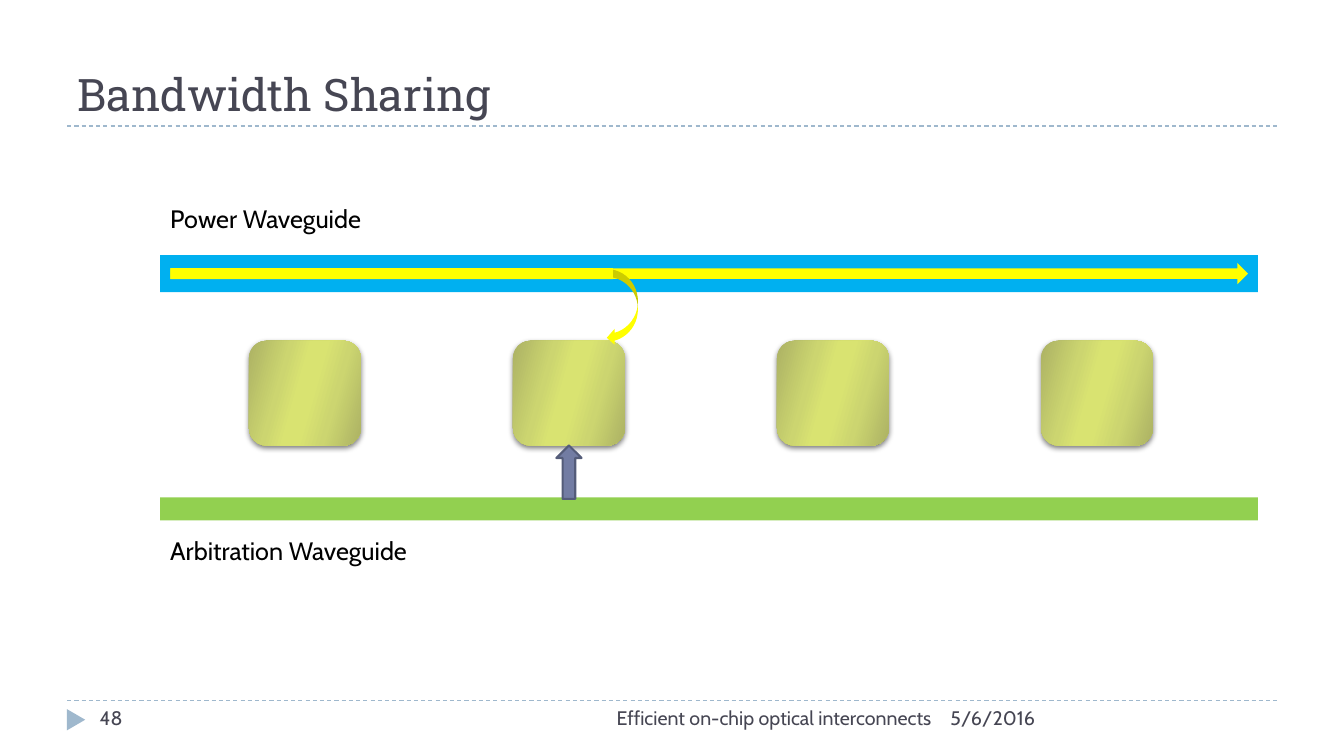
import pptx
import pptx.util
import pptx.dml.color
import pptx.enum.dml
import pptx.enum.shapes
import pptx.enum.text
import pptx.oxml
import pptx.oxml.ns

Pt = pptx.util.Pt
Color = pptx.dml.color.RGBColor
Shape = pptx.enum.shapes.MSO_SHAPE
Align = pptx.enum.text.PP_ALIGN
Anchor = pptx.enum.text.MSO_ANCHOR

SLATE = Color(0x46, 0x46, 0x53)
PALE_BLUE = Color(0x9F, 0xB8, 0xCD)
BLACK = Color(0x00, 0x00, 0x00)
CYAN = Color(0x00, 0xB0, 0xF0)
GREEN = Color(0x92, 0xD0, 0x50)
YELLOW = Color(0xFF, 0xFF, 0x00)
INDIGO = Color(0x72, 0x7C, 0xA3)
INDIGO_EDGE = Color(0x54, 0x5C, 0x79)
OLIVE = Color(0xAC, 0xB2, 0x64)
LIME = Color(0xCC, 0xD5, 0x70)
BRIGHT_LIME = Color(0xD9, 0xE3, 0x71)

# Content: text, (left, top, width, height), size, colour, alignment
TITLE = "Bandwidth Sharing"
LABELS = [
    ("Efficient on-chip optical interconnects", (304.6, 500.4, 367.9, 28.8), 14, SLATE, Align.RIGHT),
    ("48", (64.1, 500.4, 208, 28.8), 14, SLATE, Align.LEFT),
    ("5/6/2016", (671.8, 500.4, 240.5, 28.8), 14, SLATE, Align.LEFT),
    ("Power Waveguide", (114.5, 141.8, 214.6, 28.8), 18, BLACK, Align.LEFT),
    ("Arbitration Waveguide", (114.5, 378.7, 214.6, 28.8), 18, BLACK, Align.LEFT),
]
MARGIN, RULE_WIDTH = 48, 864
RULE_TOPS = (500.4, 90)
WAVEGUIDES = [(Shape.RECTANGLE, (114.5, 182.2, 784, 26.6), CYAN),
              (Shape.RECTANGLE, (114.5, 355.2, 784, 16.5), GREEN)]
LIGHT_FLOW = [(Shape.RIGHT_ARROW, (121.7, 187.9, 769.7, 15.1), YELLOW),
              (Shape.UP_ARROW, (397.4, 318.2, 18, 38.2), INDIGO),
              (Shape.CURVED_LEFT_ARROW, (433.4, 192.2, 22.3, 54.7), YELLOW),
              (Shape.RECTANGLE, (121.7, 191.5, 316.1, 7.9), YELLOW)]
CORE_COUNT, CORE_LEFT, CORE_STEP = 4, 177.8, 188.6
CORE_TOP, CORE_WIDTH, CORE_HEIGHT = 243.4, 79.9, 74.9
CORE_GRADIENT = [(0, OLIVE), (30, LIME), (45, BRIGHT_LIME),
                 (55, BRIGHT_LIME), (73, LIME), (100, OLIVE)]
GRADIENT_ANGLE = 16

NAMESPACE = pptx.oxml.ns.nsdecls("a")


def points(place):
    return [Pt(length) for length in place]


def write(box, text, size, font, color, align):
    para = box.text_frame.paragraphs[0]
    para.alignment = align
    span = para.add_run()
    span.text = text
    span.font.size = Pt(size)
    span.font.name = font
    span.font.color.rgb = color


def add_solid(page, kind, place, color):
    shape = page.shapes.add_shape(kind, *points(place))
    shape.shadow.inherit = False
    shape.fill.solid()
    shape.fill.fore_color.rgb = color
    shape.line.fill.background()
    return shape


def add_rule(page, top):
    rule = page.shapes.add_connector(
        pptx.enum.shapes.MSO_CONNECTOR.STRAIGHT,
        *points((MARGIN, top, MARGIN + RULE_WIDTH, top)))
    rule.line.color.rgb = PALE_BLUE
    rule.line.width = Pt(0.75)
    rule.line.dash_style = pptx.enum.dml.MSO_LINE.DASH
    rule._element.spPr.append(pptx.oxml.parse_xml(f"<a:effectLst {NAMESPACE}/>"))


def add_core(page, left):
    core = add_solid(page, Shape.ROUNDED_RECTANGLE,
                     (left, CORE_TOP, CORE_WIDTH, CORE_HEIGHT), LIME)
    properties = core._element.spPr
    stops = "".join(f'<a:gs pos="{position * 1000}"><a:srgbClr val="{color}"/></a:gs>'
                    for position, color in CORE_GRADIENT)
    gradient = pptx.oxml.parse_xml(
        f'<a:gradFill {NAMESPACE} rotWithShape="1"><a:gsLst>{stops}</a:gsLst>'
        f'<a:lin ang="{GRADIENT_ANGLE * 60000}" scaled="0"/></a:gradFill>')
    properties.replace(properties.find(pptx.oxml.ns.qn("a:solidFill")), gradient)
    shadow = pptx.oxml.parse_xml(
        f'<a:outerShdw {NAMESPACE} blurRad="{Pt(4)}" dist="{Pt(2)}" dir="5400000" '
        'rotWithShape="0"><a:srgbClr val="000000"><a:alpha val="50000"/>'
        '</a:srgbClr></a:outerShdw>')
    properties.find(pptx.oxml.ns.qn("a:effectLst")).append(shadow)


def main():
    deck = pptx.Presentation()
    deck.slide_width, deck.slide_height = Pt(960), Pt(540)
    page = deck.slides.add_slide(deck.slide_layouts[5])

    # Rules and page marker
    for top in RULE_TOPS:
        add_rule(page, top)
    marker = add_solid(page, Shape.ISOSCELES_TRIANGLE, (46.8, 507.6, 15.1, 13), PALE_BLUE)
    marker.rotation = 90

    # Title
    title = page.shapes.title
    title.left, title.top, title.width, title.height = points((MARGIN, 18, RULE_WIDTH, 72))
    title.text_frame.auto_size = pptx.enum.text.MSO_AUTO_SIZE.NONE
    title.text_frame.vertical_anchor = Anchor.BOTTOM
    write(title, TITLE, 32, "Roboto Slab", SLATE, Align.LEFT)

    # Waveguides and cores
    for kind, place, color in WAVEGUIDES:
        add_solid(page, kind, place, color)
    for index in range(CORE_COUNT):
        add_core(page, CORE_LEFT + index * CORE_STEP)

    # Light and arbitration arrows
    for kind, place, color in LIGHT_FLOW:
        arrow = add_solid(page, kind, place, color)
        if kind == Shape.UP_ARROW:
            arrow.line.color.rgb = INDIGO_EDGE
            arrow.line.width = Pt(1.5)

    # Labels and footer
    for text, place, size, color, align in LABELS:
        box = page.shapes.add_textbox(*points(place))
        box.text_frame.word_wrap = True
        write(box, text, size, "Cabin", color, align)

    deck.save("out.pptx")


if __name__ == "__main__":
    main()
